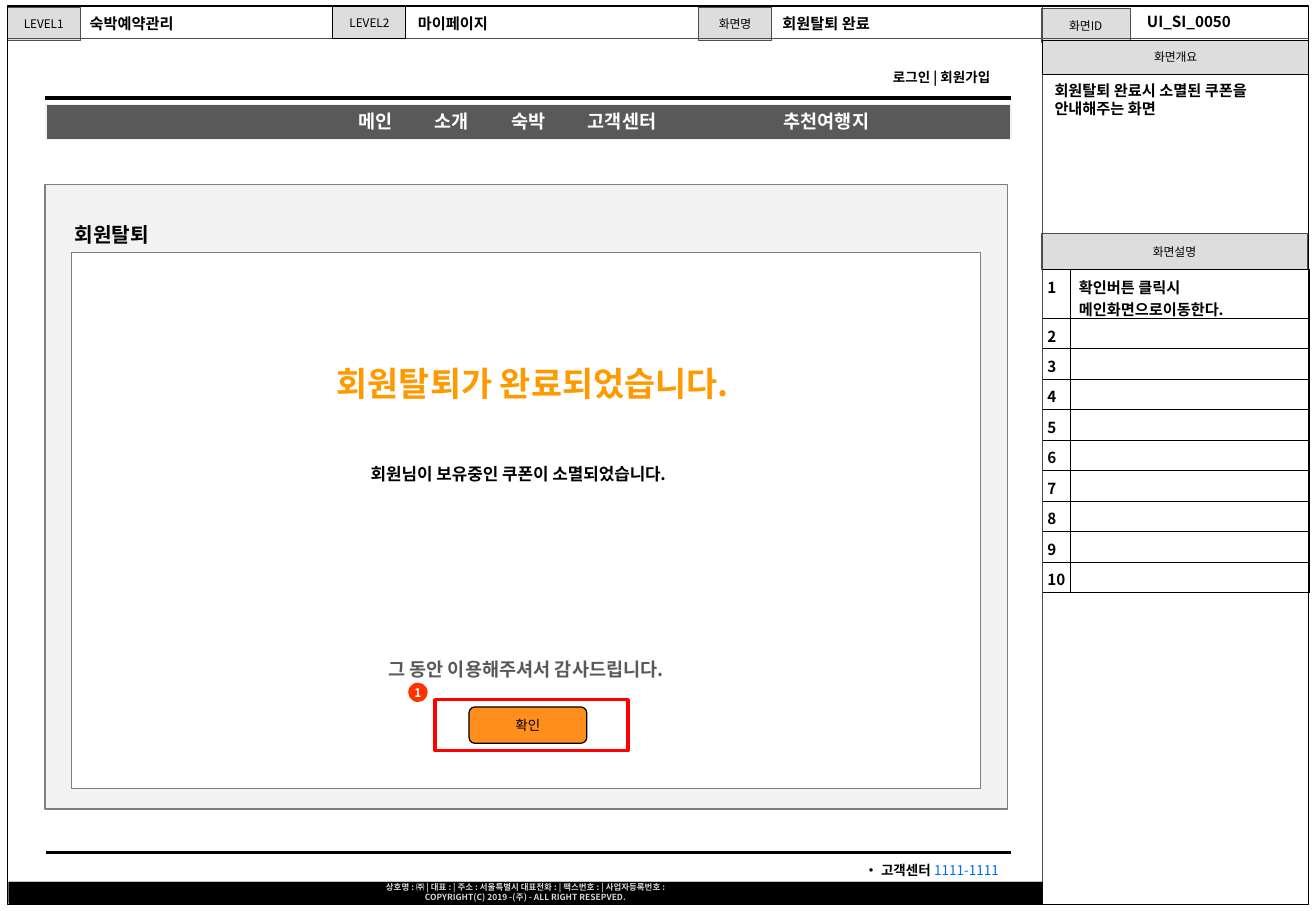
from dataclasses import dataclass, field

from lxml import etree
from pptx import Presentation
from pptx import util as u
from pptx.dml import color
from pptx.enum import shapes, text
from pptx.oxml import ns

FONT = "Noto Sans CJK KR"
LEFT, CENTER, RIGHT = text.PP_ALIGN.LEFT, text.PP_ALIGN.CENTER, text.PP_ALIGN.RIGHT
TOP, MIDDLE = text.MSO_ANCHOR.TOP, text.MSO_ANCHOR.MIDDLE
RECT = shapes.MSO_SHAPE.RECTANGLE
ROUNDED = shapes.MSO_SHAPE.ROUNDED_RECTANGLE
OVAL = shapes.MSO_SHAPE.OVAL
BOLD = {"size": 9, "bold": True, "color": "000000"}
LABEL = {"size": 7, "bold": False, "color": "000000"}


@dataclass
class Box:
    place: tuple[float, float, float, float]
    lines: list[str] = field(default_factory=list)
    font: dict = field(default_factory=lambda: LABEL)
    fill: str | None = None
    line: str | None = None
    weight: float = 0.75
    kind: shapes.MSO_SHAPE = RECT
    align: text.PP_ALIGN = CENTER
    anchor: text.MSO_ANCHOR = MIDDLE
    inset: float = 0.05
    tabs: tuple[float, ...] = ()


@dataclass
class Label:
    place: tuple[float, float, float, float]
    words: str
    size: float = 9
    color: str = "000000"
    align: text.PP_ALIGN = LEFT
    spacing: float = 1.0


@dataclass
class Rule:
    start: tuple[float, float]
    end: tuple[float, float]
    color: str
    weight: float


def rgb(value: str) -> color.RGBColor:
    return color.RGBColor.from_string(value)


def set_values(target, values: dict) -> None:
    for name, value in values.items():
        setattr(target, name, value)


def add_text(paragraph, words: str, size: float, bold: bool, color: str) -> None:
    run = paragraph.add_run()
    run.text = words
    set_values(run.font, {"name": FONT, "size": u.Pt(size), "bold": bold})
    run.font.color.rgb = rgb(color)
    fonts = etree.SubElement(run.font._element, ns.qn("a:ea"))
    fonts.set("typeface", FONT)


def set_frame(frame, anchor: text.MSO_ANCHOR, inset: float) -> None:
    set_values(frame, {
        "word_wrap": True, "vertical_anchor": anchor,
        "margin_left": u.Inches(0.1), "margin_right": u.Inches(0.1),
        "margin_top": u.Inches(inset), "margin_bottom": u.Inches(inset)})


def draw_box(slide, box: Box) -> None:
    shape = slide.shapes.add_shape(box.kind, *map(u.Inches, box.place))
    shape.shadow.inherit = False
    if box.fill:
        shape.fill.solid()
        shape.fill.fore_color.rgb = rgb(box.fill)
    else:
        shape.fill.background()
    if box.line:
        shape.line.color.rgb = rgb(box.line)
        shape.line.width = u.Pt(box.weight)
    else:
        shape.line.fill.background()
    set_frame(shape.text_frame, box.anchor, box.inset)
    for index, words in enumerate(box.lines):
        frame = shape.text_frame
        paragraph = frame.add_paragraph() if index else frame.paragraphs[0]
        paragraph.alignment = box.align
        if box.tabs:
            stops = etree.SubElement(paragraph._p.get_or_add_pPr(), ns.qn("a:tabLst"))
            for stop in box.tabs:
                etree.SubElement(stops, ns.qn("a:tab"), pos=str(u.Inches(stop)), algn="l")
        add_text(paragraph, words, **box.font)


def draw_label(slide, label: Label):
    shape = slide.shapes.add_textbox(*map(u.Inches, label.place))
    set_frame(shape.text_frame, TOP, 0.05)
    paragraph = shape.text_frame.paragraphs[0]
    set_values(paragraph, {"alignment": label.align, "line_spacing": label.spacing})
    add_text(paragraph, label.words, label.size, True, label.color)
    return paragraph


def draw_rule(slide, rule: Rule) -> None:
    connector = slide.shapes.add_connector(
        shapes.MSO_CONNECTOR.STRAIGHT, *map(u.Inches, rule.start + rule.end))
    connector.line.color.rgb = rgb(rule.color)
    connector.line.width = u.Pt(rule.weight)
    etree.SubElement(connector._element.spPr, ns.qn("a:effectLst"))


def set_borders(cell, sides: str) -> None:
    properties = cell._tc.get_or_add_tcPr()
    for side in "LRTB":
        width = str(u.Pt(0.75))
        border = etree.SubElement(properties, ns.qn(f"a:ln{side}"), w=width)
        if side in sides:
            fill = etree.SubElement(border, ns.qn("a:solidFill"))
            etree.SubElement(fill, ns.qn("a:srgbClr"), val="000000")
        else:
            etree.SubElement(border, ns.qn("a:noFill"))


def draw_descriptions(slide, notes: list[str]) -> None:
    place = map(u.Inches, (8.58, 2.22, 2.2, 2.59))
    frame = slide.shapes.add_table(len(notes), 2, *place)
    table = frame.table
    set_values(table, {"first_row": False, "horz_banding": False})
    for column, width in zip(table.columns, (0.23, 1.97)):
        column.width = u.Inches(width)
    for number, (row, note) in enumerate(zip(table.rows, notes), 1):
        row.height = u.Inches(0.22)
        columns = zip(row.cells, (str(number), note), (0.04, 0.07), ("RTB", "LRTB"))
        for cell, words, margin, sides in columns:
            set_values(cell, {"margin_left": u.Inches(margin),
                              "margin_right": u.Inches(margin)})
            set_borders(cell, sides)
            cell.fill.background()
            paragraph = cell.text_frame.paragraphs[0]
            if words:
                add_text(paragraph, words, **BOLD)
            else:
                etree.SubElement(paragraph._p, ns.qn("a:endParaRPr"), sz="900")
    frame.height = u.Inches(2.59)


def header(place: tuple, words: str, line: str = "4D4D4D") -> Box:
    return Box(place, [words], fill="DDDDDD", line=line, weight=0.5)


FRAME = [
    header((0.06, 0.06, 0.6, 0.27), "LEVEL1"),
    header((5.75, 0.06, 0.6, 0.27), "화면명"),
    header((8.57, 1.92, 2.19, 0.3), "화면설명"),
    header((8.57, 0.07, 0.73, 0.28), "화면ID"),
    Rule((8.58, 0.05), (8.58, 7.45), "4D4D4D", 0.75),
    Box((0.06, 0.05, 10.71, 7.4), line="000000"),
    Rule((0.07, 0.32), (10.77, 0.32), "4D4D4D", 0.5),
    Box((0.07, 7.26, 8.51, 0.19), fill="000000"),
    Rule((0.37, 0.81), (8.32, 0.81), "000000", 2.25),
    Label((7.25, 0.52, 1.2, 0.24), "로그인 | 회원가입", 8),
    Rule((0.38, 7.02), (8.32, 7.02), "000000", 2),
    Box((0.38, 0.86, 7.94, 0.29), ["\t메인\t소개\t숙박\t고객센터"],
        {"size": 11, "bold": True, "color": "FFFFFF"}, "595959", "F2F2F2",
        align=LEFT, anchor=TOP, tabs=tuple(2.47 + 0.63 * i for i in range(4))),
    Box((0.07, 7.26, 8.51, 0.17),
        ["상호명 : ㈜ | 대표 : | 주소 : 서울특별시 대표전화 : | 팩스번호 : | 사업자등록번호 :",
         "COPYRIGHT(C) 2019 -(주) - ALL RIGHT RESEPVED."],
        {"size": 5, "bold": True, "color": "D8D8D8"}, "000000", anchor=TOP, inset=0),
    header((8.58, 0.33, 2.19, 0.28), "화면개요", "000000"),
    header((2.74, 0.05, 0.6, 0.27), "LEVEL2", "000000"),
    Label((6.35, 0.86, 1.69, 0.29), "추천여행지", 11, "FFFFFF"),
]
CONTENT = [
    Box((0.37, 1.52, 7.92, 5.14), fill="F2F2F2", line="7F7F7F"),
    Box((0.59, 2.08, 7.48, 4.41), fill="FFFFFF", line="7F7F7F"),
    Label((2.13, 2.94, 4.51, 0.44), "회원탈퇴가 완료되었습니다.", 20, "FF9900", CENTER),
    Label((1.73, 5.37, 5.2, 0.29), "그 동안 이용해주셔서 감사드립니다.", 11, "595959", CENTER),
    Box((3.86, 5.82, 0.97, 0.3), ["확인"], {**LABEL, "size": 8}, "FF8E1D", "000000",
        kind=ROUNDED),
    Label((2.59, 3.77, 3.35, 0.27), "회원님이 보유중인 쿠폰이 소멸되었습니다.", 10, align=CENTER),
    Label((0.48, 1.78, 0.88, 0.3), "회원탈퇴", 12, align=CENTER),
    Label((0.64, 0.07, 1.31, 0.25), "숙박예약관리"),
    Label((3.34, 0.07, 1.67, 0.25), "마이페이지"),
    Label((6.34, 0.07, 1.52, 0.25), "회원탈퇴 완료"),
    Label((8.58, 0.62, 2.2, 0.39), "회원탈퇴 완료시 소멸된 쿠폰을 안내해주는 화면"),
    Box((3.36, 5.62, 0.16, 0.16), ["1"], {"size": 7, "bold": True, "color": "FFFFFF"},
        "FF3300", kind=OVAL),
    Box((3.58, 5.76, 1.59, 0.42), line="FF0000", weight=2),
    Label((9.34, 0.05, 1.31, 0.25), "UI_SI_0050"),
]
DRAW = {Box: draw_box, Label: draw_label, Rule: draw_rule}


def main() -> None:
    presentation = Presentation()
    set_values(presentation, {"slide_width": u.Inches(10.83), "slide_height": u.Inches(7.5)})
    slide = presentation.slides.add_slide(presentation.slide_layouts[6])
    for item in FRAME + CONTENT:
        DRAW[type(item)](slide, item)
    service = draw_label(slide, Label((6.95, 7.05, 1.37, 0.24), "• 고객센터 ", 8, align=RIGHT))
    add_text(service, "1111-1111", 8, False, "0066FF")
    draw_descriptions(slide, ["확인버튼 클릭시 메인화면으로이동한다."] + [""] * 9)
    presentation.save("out.pptx")


if __name__ == "__main__":
    main()
